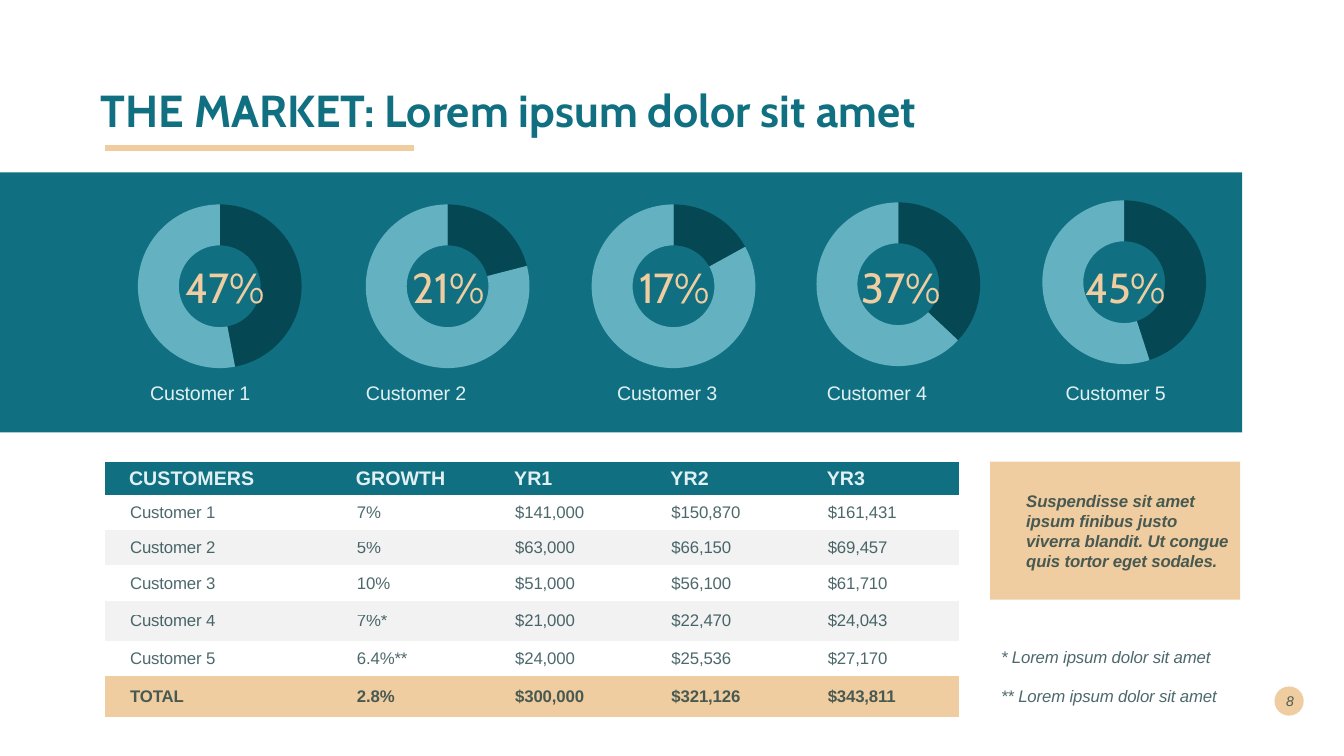
from dataclasses import dataclass

from lxml import etree
from pptx import Presentation
from pptx.chart.data import CategoryChartData
from pptx.dml.color import RGBColor
from pptx.enum.chart import XL_CHART_TYPE
from pptx.enum.shapes import MSO_CONNECTOR, MSO_SHAPE
from pptx.enum.text import MSO_ANCHOR, PP_ALIGN
from pptx.oxml.ns import qn
from pptx.util import Inches, Pt

RING = XL_CHART_TYPE.DOUGHNUT
STRAIGHT = MSO_CONNECTOR.STRAIGHT
RECT, OVAL = MSO_SHAPE.RECTANGLE, MSO_SHAPE.OVAL
TOP, MIDDLE = MSO_ANCHOR.TOP, MSO_ANCHOR.MIDDLE
LEFT, CENTER, RIGHT = PP_ALIGN.LEFT, PP_ALIGN.CENTER, PP_ALIGN.RIGHT
NO_STYLE = "{2D5ABB26-0587-4C30-8999-92F81FD0307C}"


@dataclass(frozen=True)
class Theme:
    teal: str = "107082"
    dark: str = "054854"
    light: str = "64B2C1"
    sand: str = "F0CDA1"
    pale: str = "E0F0F3"
    gray: str = "F2F2F2"
    black: str = "000000"
    ink: str = "00292E"
    ink_alpha: int = 70
    head: str = "Cabin"
    body: str = "Arial"
    title: int = 32
    share: int = 30
    label: int = 14
    text: int = 12
    small: int = 10


THEME = Theme()

RINGS = [
    (47, 1.1, 1.89, 2.16, 1.48, 1.49),
    (21, 3.23, 1.89, 2.42, 3.62, 1.65),
    (17, 5.47, 1.89, 2.42, 6.11, 1.15),
    (37, 7.7, 1.87, 2.42, 8.19, 1.48),
    (45, 9.94, 1.85, 2.42, 10.56, 1.2),
]
ROWS = [
    ("CUSTOMERS", "GROWTH", "YR1", "YR2", "YR3"),
    ("Customer 1", "7%", "$141,000", "$150,870", "$161,431"),
    ("Customer 2", "5%", "$63,000", "$66,150", "$69,457"),
    ("Customer 3", "10%", "$51,000", "$56,100", "$61,710"),
    ("Customer 4", "7%*", "$21,000", "$22,470", "$24,043"),
    ("Customer 5", "6.4%**", "$24,000", "$25,536", "$27,170"),
    ("TOTAL", "2.8%", "$300,000", "$321,126", "$343,811"),
]
WIDTHS = [2.25, 1.57, 1.55, 1.55, 1.55]
HEIGHTS = [0.33, 0.35, 0.35, 0.35, 0.4, 0.35, 0.4]


def write(frame, text, size=THEME.text, color=THEME.ink, face=THEME.body,
          bold=False, italic=False, align=LEFT, indent=0, hang=0,
          track=-10, lines=None):
    para = frame.paragraphs[0]
    para.alignment = align
    props = para._p.get_or_add_pPr()
    props.set("marL", str(Inches(indent)))
    props.set("indent", str(Inches(hang)))
    if lines:
        para.line_spacing = lines
    run = para.add_run()
    run.text = text
    font = run.font
    font.name, font.size = face, Pt(size)
    font.bold, font.italic = bold, italic
    font.color.rgb = RGBColor.from_string(color)
    run._r.get_or_add_rPr().set("spc", str(track))
    if color == THEME.ink:
        tint = run._r.find(".//" + qn("a:srgbClr"))
        etree.SubElement(tint, qn("a:alpha")).set("val", str(THEME.ink_alpha * 1000))


class Deck:
    def __init__(self, theme):
        self.theme = theme
        self.show = Presentation()
        self.show.slide_width = Inches(13.33)
        self.show.slide_height = Inches(7.5)
        self.slide = self.show.slides.add_slide(self.show.slide_layouts[6])

    def paint(self, item, color):
        item.fill.solid()
        item.fill.fore_color.rgb = RGBColor.from_string(color)

    def shape(self, kind, box, color):
        shape = self.slide.shapes.add_shape(kind, *map(Inches, box))
        shape.shadow.inherit = False
        self.paint(shape, color)
        shape.line.fill.background()
        frame = shape.text_frame
        frame.word_wrap = True
        frame.vertical_anchor = MIDDLE
        return frame

    def text(self, box, text, anchor=MIDDLE, tight=False, **style):
        frame = self.slide.shapes.add_textbox(*map(Inches, box)).text_frame
        frame.word_wrap = True
        frame.vertical_anchor = anchor
        if tight:
            frame.margin_left = frame.margin_right = frame.margin_bottom = 0
            frame.margin_top = Inches(0.01)
        write(frame, text, **style)

    def line(self, left, top, right, color, width):
        ends = map(Inches, (left, top, right, top))
        line = self.slide.shapes.add_connector(STRAIGHT, *ends)
        line.line.color.rgb = RGBColor.from_string(color)
        line.line.width = Pt(width)
        etree.SubElement(line._element.spPr, qn("a:effectLst"))

    def ring(self, box, share):
        data = CategoryChartData()
        data.categories = ["1", "2"]
        data.add_series("Series 1", (share, 100 - share))
        chart = self.slide.shapes.add_chart(RING, *map(Inches, box), data).chart
        chart.has_legend = chart.has_title = False
        chart.font.name = self.theme.body
        chart.font.size = Pt(self.theme.small)
        chart.font.color.rgb = RGBColor.from_string(self.theme.black)
        plot = chart.plots[0]
        plot.vary_by_categories = True
        plot._element.find(qn("c:holeSize")).set("val", "67")
        for spot, color in enumerate((self.theme.dark, self.theme.light)):
            look = plot.series[0].points[spot].format
            self.paint(look, color)
            look.line.fill.background()

    def table(self, left, top, rows, widths, heights):
        box = map(Inches, (left, top, sum(widths), sum(heights)))
        table = self.slide.shapes.add_table(len(rows), len(widths), *box).table
        table.first_row = table.horz_banding = False
        table._tbl.tblPr.find(qn("a:tableStyleId")).text = NO_STYLE
        for column, width in zip(table.columns, widths):
            column.width = Inches(width)
        last = len(rows) - 1
        for r, (row, height) in enumerate(zip(rows, heights)):
            table.rows[r].height = Inches(height)
            style = dict(indent=0.25, bold=r == last)
            fill = self.theme.gray if r % 2 == 0 else None
            if r == 0:
                fill = self.theme.teal
                style = dict(indent=0.24, bold=True, track=0,
                             size=self.theme.label, color=self.theme.pale)
            elif r == last:
                fill = self.theme.sand
            for c, value in enumerate(row):
                cell = table.cell(r, c)
                cell.margin_left = cell.margin_right = 0
                cell.margin_top = cell.margin_bottom = 0
                cell.vertical_anchor = MIDDLE
                if fill:
                    self.paint(cell, fill)
                else:
                    cell.fill.background()
                write(cell.text_frame, value, **style)


def main():
    deck = Deck(THEME)
    deck.shape(OVAL, (12.64, 6.81, 0.29, 0.29), THEME.sand)
    deck.shape(RECT, (0, 1.71, 12.32, 2.58), THEME.teal)
    deck.text((12.54, 6.75, 0.39, 0.4), "8", size=THEME.small,
              italic=True, align=RIGHT, track=0)
    deck.text((0.9, 0.4, 11.5, 1.45), "THE MARKET: Lorem ipsum dolor sit amet",
              size=THEME.title, face=THEME.head, color=THEME.teal,
              bold=True, track=0, lines=0.9)
    deck.line(1.04, 1.47, 4.11, THEME.sand, 4.32)

    for number, (share, left, top, width, start, span) in enumerate(RINGS, 1):
        deck.ring((left, top, width, 1.9), share)
        deck.text((start, 2.58, span, 0.52), f"{share}%", TOP, True,
                  size=THEME.share, face=THEME.head, color=THEME.sand,
                  align=CENTER, indent=0.01)
        deck.text((start, 3.77, span, 0.25), f"Customer {number}", TOP, True,
                  size=THEME.label, color=THEME.pale, indent=0.01)

    deck.table(1.04, 4.58, ROWS, WIDTHS, HEIGHTS)
    quote = deck.shape(RECT, (9.82, 4.58, 2.48, 1.37), THEME.sand)
    write(quote, "Suspendisse sit amet ipsum finibus justo viverra blandit. "
          "Ut congue quis tortor eget sodales.",
          bold=True, italic=True, indent=0.26)
    deck.text((9.82, 6.31, 2.48, 0.41), "* Lorem ipsum dolor sit amet",
              italic=True, indent=0.01)
    deck.text((9.82, 6.7, 2.48, 0.41), "** Lorem ipsum dolor sit amet",
              italic=True, indent=0.15, hang=-0.14)
    deck.show.save("out.pptx")


if __name__ == "__main__":
    main()
